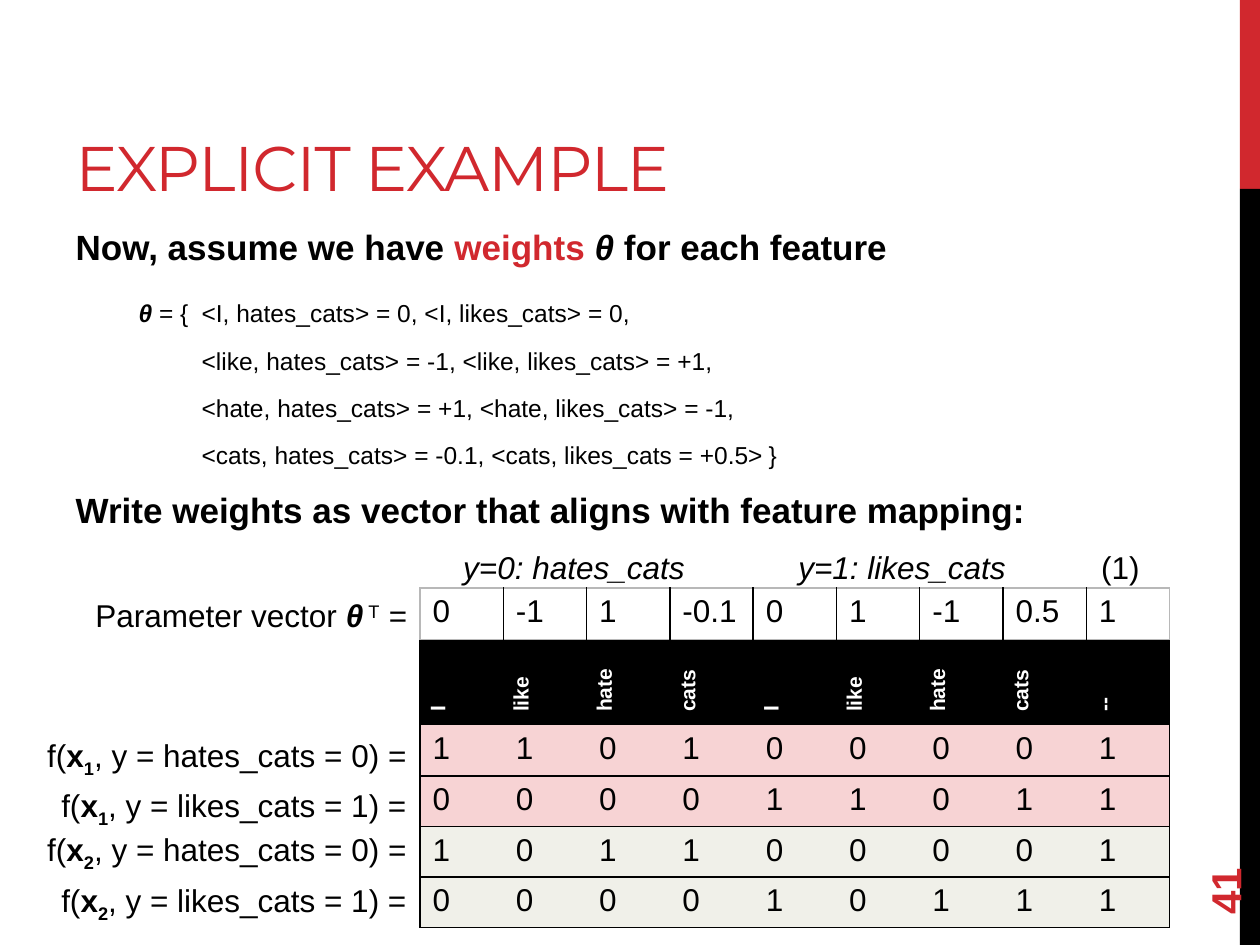
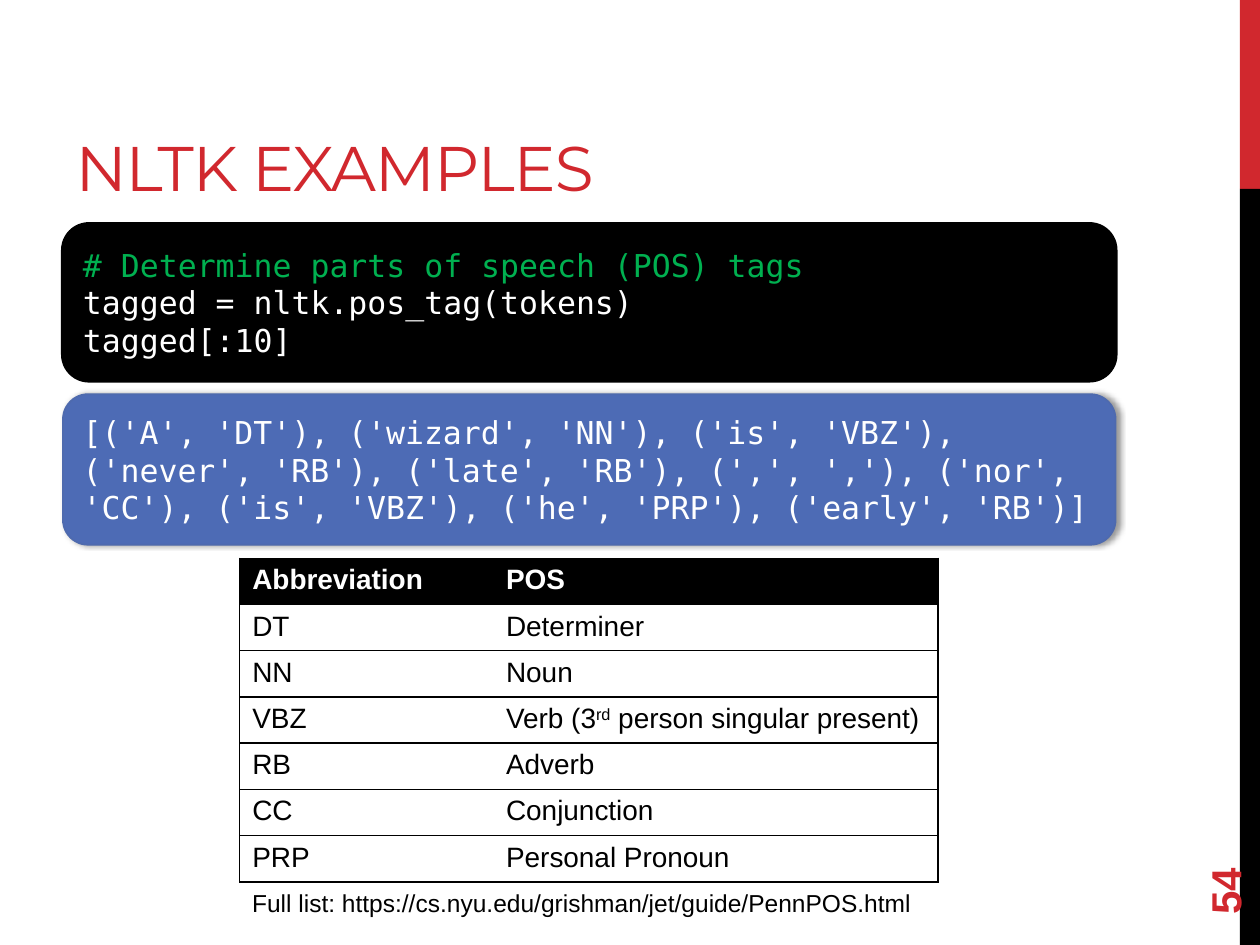
import pptx
import pptx.dml.color
import pptx.enum.shapes
import pptx.enum.text
import pptx.oxml
import pptx.oxml.ns
import pptx.util
from lxml import etree

Pt = pptx.util.Pt
Rgb = pptx.dml.color.RGBColor.from_string
Align = pptx.enum.text.PP_ALIGN
Anchor = pptx.enum.text.MSO_ANCHOR
Shape = pptx.enum.shapes.MSO_SHAPE
qn = pptx.oxml.ns.qn


class Theme:
    red, black, white = "D1282E", "000000", "FFFFFF"
    green, grey = "00B050", "B8B8B8"
    pink, stone = "F7D3D4", "F0F0E9"
    blue, edge = "4D6BB5", "4E6AAE"
    head, sans, mono = "Montserrat", "Arial", "DejaVu Sans Mono"
    title, page, lead, text, cell, small, tag = 36, 24, 20, 18, 16, 14, 12


def write(para, runs, size, color=Theme.black, font=Theme.sans):
    """Add runs; flags: b bold, i italic, r red, ^ raised, _ lowered."""
    for text, flags in [(runs, "")] if isinstance(runs, str) else runs:
        run = para.add_run()
        run.text = text
        run.font.name, run.font.size = font, Pt(size)
        run.font.bold, run.font.italic = "b" in flags, "i" in flags
        run.font.color.rgb = Rgb(Theme.red if "r" in flags else color)
        for mark, shift in (("^", "30000"), ("_", "-25000")):
            if mark in flags:
                run.font._element.set("baseline", shift)


def grid(slide, box, widths, heights, rows, fills, size, frame=Theme.black, inner=False):
    """Add a ruled table; black rows get bold white text."""
    table = slide.shapes.add_table(len(rows), len(widths), *map(Pt, box)).table
    table.first_row = table.horz_banding = False
    for col, width in zip(table.columns, widths):
        col.width = Pt(width)
    for y, row in enumerate(rows):
        table.rows[y].height = Pt(heights[y])
        dark = fills[y] == Theme.black
        for x, runs in enumerate(row):
            cell = table.cell(y, x)
            props = cell._tc.get_or_add_tcPr()
            outer = {"L": x == 0, "R": x == len(row) - 1,
                     "T": y == 0, "B": y == len(rows) - 1}
            for side, rim in outer.items():
                line = etree.SubElement(props, qn("a:ln" + side), w=str(Pt(1)))
                if rim or inner or side in "TB":
                    fill = etree.SubElement(line, qn("a:solidFill"))
                    etree.SubElement(fill, qn("a:srgbClr"), val=frame if rim else Theme.black)
                else:
                    etree.SubElement(line, qn("a:noFill"))
            cell.fill.solid()
            cell.fill.fore_color.rgb = Rgb(fills[y])
            if dark:
                runs = [(runs, "b")]
            write(cell.text_frame.paragraphs[0], runs, size[y],
                  Theme.white if dark else Theme.black)
    return table


deck = pptx.Presentation()
deck.slide_width, deck.slide_height = Pt(720), Pt(540)

# Shared frame: title, side bands, page number
slides = []
for title, wide, page, layout in (("EXPLICIT EXAMPLE", 600, "41", 1),
                                  ("NLTK EXAMPLES", 456, "54", 5)):
    slide = deck.slides.add_slide(deck.slide_layouts[layout])
    slides.append(slide)
    for top, high, color in ((0, 108, Theme.red), (108, 432, Theme.black)):
        band = slide.shapes.add_shape(Shape.RECTANGLE, Pt(708.5), Pt(top), Pt(11.5), Pt(high))
        band.shadow.inherit = False
        band.fill.solid()
        band.fill.fore_color.rgb = Rgb(color)
        band.line.fill.background()

    head = slide.shapes.title
    head.left, head.top, head.width, head.height = Pt(36), Pt(12), Pt(wide), Pt(108)
    frame = head.text_frame
    frame.vertical_anchor = Anchor.BOTTOM
    frame.auto_size = pptx.enum.text.MSO_AUTO_SIZE.NONE
    para = frame.paragraphs[0]
    para.alignment = Align.LEFT
    write(para, title, Theme.title, Theme.red, Theme.head)
    para.runs[0].font._element.set("spc", "-60")

    num = slide.shapes.add_textbox(Pt(648), Pt(463.5), Pt(103.5), Pt(29))
    num.rotation = 270
    num.text_frame.word_wrap = True
    num.text_frame.vertical_anchor = Anchor.MIDDLE
    write(num.text_frame.paragraphs[0], [(page, "br")], Theme.page)

vector, tagger = slides

# Weights listed in the body
body = vector.placeholders[1]
body.left, body.top, body.width, body.height = Pt(36), Pt(125.5), Pt(631.5), Pt(344)
frame = body.text_frame
frame.auto_size = pptx.enum.text.MSO_AUTO_SIZE.NONE
lines = [
    (0, Theme.lead, [("Now, assume we have ", "b"), ("weights ", "br"),
                     ("θ ", "bi"), ("for each feature", "b")]),
    (11, Theme.small, [("\t", ""), ("θ ", "bi"),
                       ("= {\t<I, hates_cats> = 0, <I, likes_cats> = 0,", "")]),
    (5, Theme.small, "\t\t<like, hates_cats> = -1, <like, likes_cats> = +1,"),
    (4, Theme.small, "\t\t<hate, hates_cats> = +1, <hate, likes_cats> = -1,"),
    (4, Theme.small, "\t\t<cats, hates_cats> = -0.1, <cats, likes_cats = +0.5>\t}"),
    (5, Theme.lead, [("Write weights as vector that aligns with feature mapping:", "b")]),
]
for n, (gap, size, runs) in enumerate(lines):
    para = frame.add_paragraph() if n else frame.paragraphs[0]
    props = para._p.get_or_add_pPr()
    props.set("marL", "0")
    props.set("indent", "0")
    etree.SubElement(props, qn("a:buNone"))
    para.space_before, para.space_after = Pt(gap), Pt(6)
    write(para, runs, size)

# Feature table, with the parameter vector above it
words = ["I", "like", "hate", "cats"]
bits = ["110100001", "000011011", "101100001", "000010111"]
fills = [Theme.black] + [Theme.pink] * 2 + [Theme.stone] * 2
cols = [47.6] * 9
table = grid(vector, (240, 365.5, 428.4, 162.5), cols, [48.5, 29.5, 28, 28, 28],
             [words * 2 + ["--"]] + [list(row) for row in bits],
             fills, [Theme.tag] + [Theme.text] * 4)
for cell in table.rows[0].cells:
    cell._tc.get_or_add_tcPr().set("vert", "vert270")
grid(vector, (240, 336, 428.4, 29.5), cols, [29.5],
     [["0", "-1", "1", "-0.1", "0", "1", "-1", "0.5", "1"]],
     [Theme.white], [Theme.text], Theme.grey, True)

# Code and its output
code = [("# Determine parts of speech (POS) tags", Theme.green),
        ("tagged = nltk.pos_tag(tokens)", Theme.white),
        ("tagged[:10]", Theme.white)]
output = [("[('A', 'DT'), ('wizard', 'NN'), ('is', 'VBZ'), ('never', 'RB'), "
           "('late', 'RB'), (',', ','), ('nor', 'CC'), ('is', 'VBZ'), "
           "('he', 'PRP'), ('early', 'RB')]", Theme.white)]
for top, high, fill, edge, thick, rows in (
        (128, 89.5, Theme.black, Theme.black, 2.25, code),
        (225.3, 86, Theme.blue, Theme.edge, 1, output)):
    panel = tagger.shapes.add_shape(Shape.ROUNDED_RECTANGLE, Pt(36), Pt(top), Pt(601.5), Pt(high))
    panel.shadow.inherit = False
    panel.fill.solid()
    panel.fill.fore_color.rgb = Rgb(fill)
    panel.line.color.rgb, panel.line.width = Rgb(edge), Pt(thick)
    frame = panel.text_frame
    frame.word_wrap, frame.vertical_anchor = True, Anchor.MIDDLE
    for n, (text, color) in enumerate(rows):
        para = frame.add_paragraph() if n else frame.paragraphs[0]
        para.alignment = Align.LEFT
        write(para, text, Theme.text, color, Theme.mono)

# Soft shadow under the output panel
glow = panel._element.spPr.find(qn("a:effectLst"))
cast = etree.SubElement(glow, qn("a:outerShdw"), blurRad=str(Pt(3.1)),
                        dist=str(Pt(1.8)), dir="0", rotWithShape="0")
tint = etree.SubElement(cast, qn("a:srgbClr"), val=Theme.black)
etree.SubElement(tint, qn("a:alpha"), val="40000")

# Key to the tags
key = [["Abbreviation", "POS"], ["DT", "Determiner"], ["NN", "Noun"],
       ["VBZ", [("Verb (3", ""), ("rd", "^"), (" person singular present)", "")]],
       ["RB", "Adverb"], ["CC", "Conjunction"], ["PRP", "Personal Pronoun"]]
grid(tagger, (137, 319, 399, 183), [145, 254], [26.1] * 7, key,
     [Theme.black] + [Theme.white] * 6, [Theme.cell] * 7)

# Labels around the tables
labels = [
    (vector, (4, 337, 235.5), Align.RIGHT, Theme.text,
     [("Parameter vector ", ""), ("θ", "bi"), (" T", "^"), (" =", "i")]),
    (vector, (240.5, 309.6, 175), Align.CENTER, Theme.text, [("y=0: hates_cats", "i")]),
    (vector, (417, 309.6, 197), Align.CENTER, Theme.text, [("y=1: likes_cats", "i")]),
    (vector, (612.5, 309.6, 55.5), Align.CENTER, Theme.text, "(1)"),
    (tagger, (137, 504, 399), Align.LEFT, Theme.small,
     "Full list: https://cs.nyu.edu/grishman/jet/guide/PennPOS.html"),
]
for n, top in enumerate((417, 445.7, 471, 499.7)):
    guess = ("hates_cats = 0", "likes_cats = 1")[n % 2]
    labels.append((vector, (4, top, 235.5), Align.RIGHT, Theme.text,
                   [("f(", ""), ("x", "b"), (str(n // 2 + 1), "b_"), (f", y = {guess}) =", "")]))
for slide, (left, top, wide), align, size, runs in labels:
    label = slide.shapes.add_textbox(Pt(left), Pt(top), Pt(wide), Pt(size + 11))
    label.text_frame.word_wrap = True
    para = label.text_frame.paragraphs[0]
    para.alignment = align
    write(para, runs, size)

deck.save("out.pptx")
